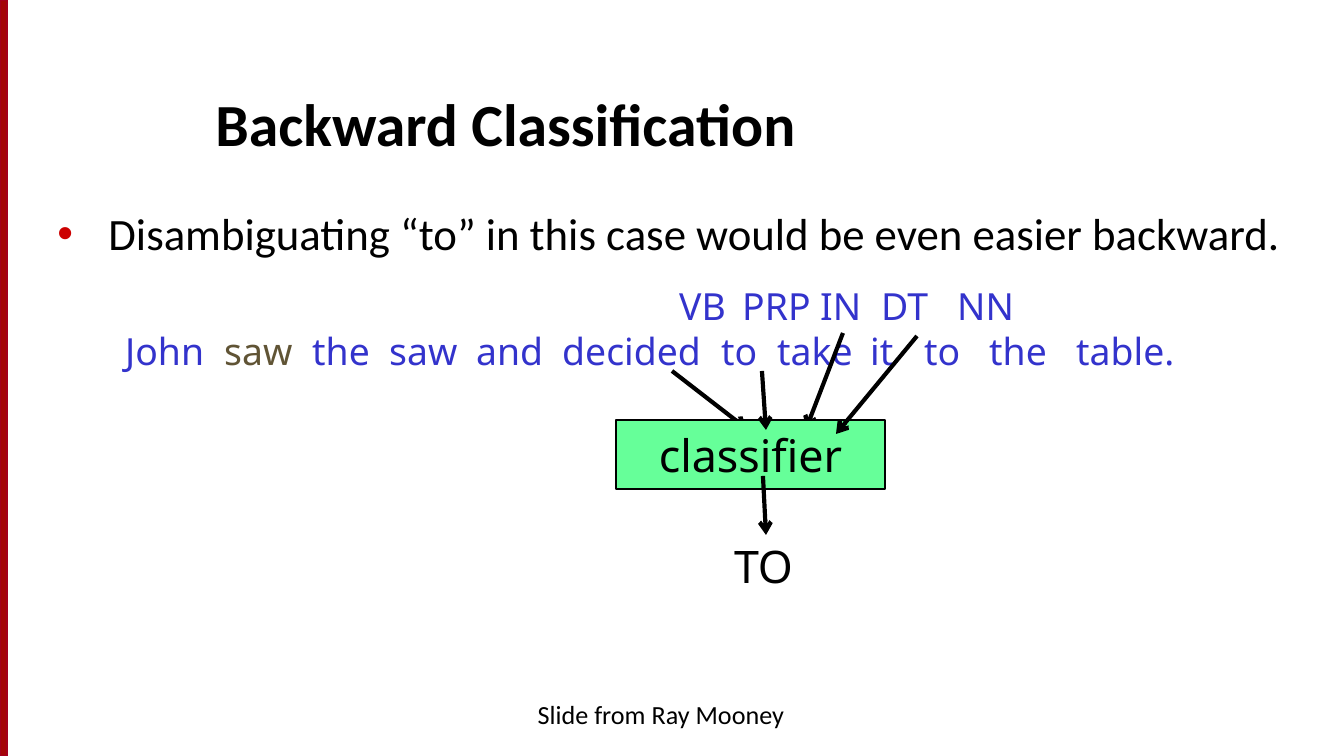
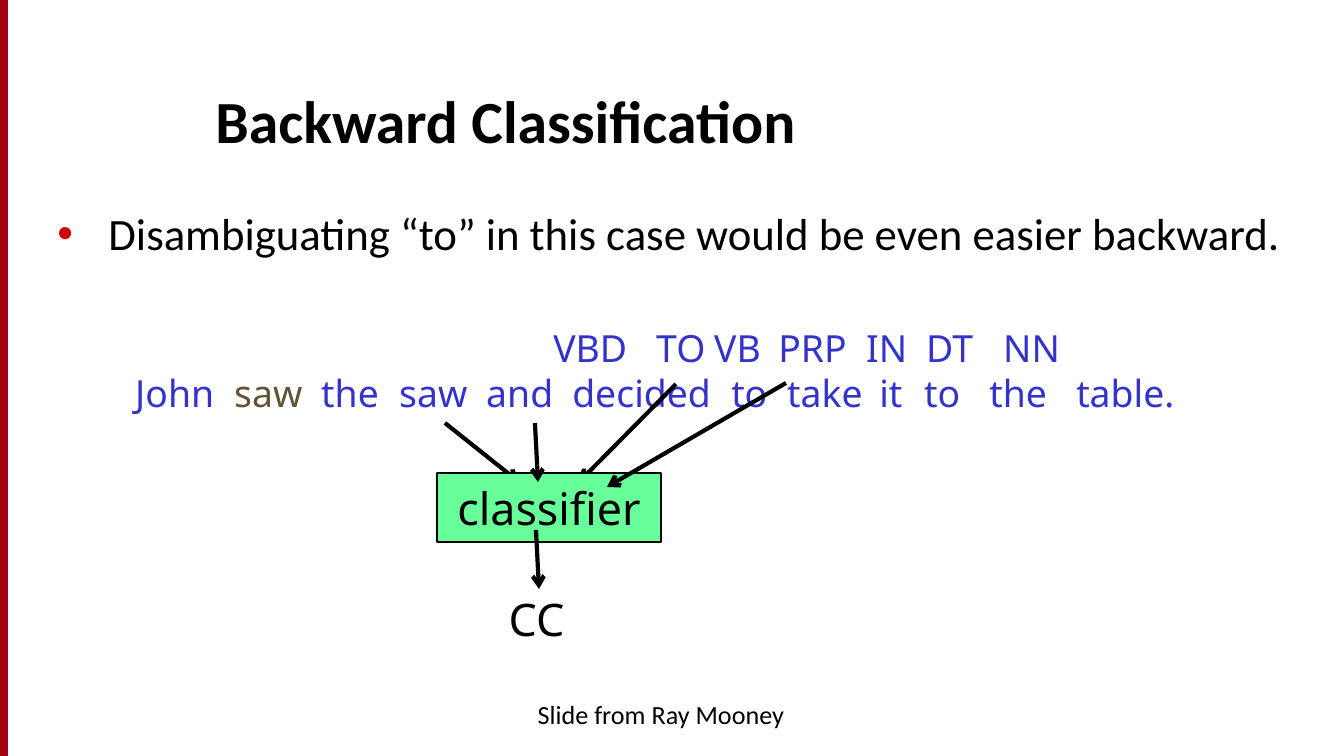
"""Build two slides on backward classification for part-of-speech tagging."""
from lxml import etree
from pptx import Presentation
from pptx import util as u
from pptx.dml.color import RGBColor
from pptx.enum import shapes, text
from pptx.oxml import ns

BLACK = RGBColor(0x00, 0x00, 0x00)
BLUE = RGBColor(0x33, 0x33, 0xCC)
BROWN = RGBColor(0x60, 0x54, 0x35)
GREEN = RGBColor(0x66, 0xFF, 0x99)
BAR_FILL = RGBColor(0xA4, 0x05, 0x08)
BAR_LINE = RGBColor(0xA4, 0x00, 0x1D)
BULLET = RGBColor(0xCC, 0x00, 0x00)
HEAD_FONT, TAG_FONT = "Calibri", "Noto Sans"
LEFT, CENTER = text.PP_ALIGN.LEFT, text.PP_ALIGN.CENTER
TOP, MIDDLE, BOTTOM = (text.MSO_ANCHOR.TOP, text.MSO_ANCHOR.MIDDLE,
                       text.MSO_ANCHOR.BOTTOM)
WIDTH, HEIGHT = 1344, 756
SCALE = 914400 / 134.4
INSET = 13

TITLE = "Backward Classification"
POINT = "Disambiguating “to” in this case would be even easier backward."
CREDIT = "Slide from Ray Mooney"
WORDS = "John saw the saw and decided to take it to the table.".split()
HIGHLIGHT = 1

SLIDES = [
    {
        "title_top": 56,
        "sentence": (112, 277, 1157),
        "tags": [("VB", 679), ("PRP", 742), ("IN", 820), ("DT", 881), ("NN", 957)],
        "word_x": [224, 312, 389, 476, 562, 721, 777, 870, 924, 989, 1076],
        "box": (616, 420, 269, 69),
        "behind": [(672, 371, 747, 429), (843, 333, 806, 429)],
        "front": [(762, 371, 766, 430), (763, 476, 766, 535), (917, 336, 836, 434)],
        "result": ("TO", 712, 532),
    },
    {
        "title_top": 53,
        "sentence": (122, 319, 1145),
        "tags": [("VBD", 553), ("TO", 656), ("VB", 714), ("PRP", 778),
                 ("IN", 866), ("DT", 926), ("NN", 1003)],
        "word_x": [234, 321, 399, 486, 572, 731, 787, 879, 924, 989, 1076],
        "box": (437, 473, 224, 69),
        "behind": [(445, 423, 519, 482), (676, 384, 579, 482)],
        "front": [(535, 423, 538, 482), (536, 530, 539, 589), (786, 383, 607, 487)],
        "result": ("CC", 485, 585),
    },
]


def px(n):
    return u.Emu(round(n * SCALE))


def place(sp, x, y, w, h):
    sp.left, sp.top, sp.width, sp.height = px(x), px(y), px(w), px(h)


def add_child(parent, tag, **attrs):
    return etree.SubElement(parent, ns.qn(tag), attrs)


def write(sp, *paragraphs, font=TAG_FONT, size=24, color=BLACK, bold=False,
          align=LEFT, anchor=TOP):
    """Fill a shape; a paragraph is a string or a list of (text, colour) runs."""
    tf = sp.text_frame
    tf.word_wrap = True
    tf.auto_size = text.MSO_AUTO_SIZE.NONE
    tf.vertical_anchor = anchor
    for i, runs in enumerate(paragraphs):
        p = tf.add_paragraph() if i else tf.paragraphs[0]
        p.alignment = align
        p.space_before = u.Pt(0)
        for content, tint in [(runs, color)] if isinstance(runs, str) else runs:
            r = p.add_run()
            r.text = content
            r.font.name, r.font.size, r.font.bold = font, u.Pt(size), bold
            r.font.color.rgb = tint
    return tf


def add_rect(s, x, y, w, h, fill, line, weight):
    sp = s.shapes.add_shape(shapes.MSO_SHAPE.RECTANGLE, px(x), px(y), px(w), px(h))
    sp.shadow.inherit = False
    sp.fill.solid()
    sp.fill.fore_color.rgb = fill
    sp.line.color.rgb = line
    sp.line.width = u.Pt(weight)
    return sp


def add_textbox(s, x, y, w, h):
    return s.shapes.add_textbox(px(x), px(y), px(w), px(h))


def add_arrows(s, arrows):
    for ends in arrows:
        cx = s.shapes.add_connector(shapes.MSO_CONNECTOR.STRAIGHT, *map(px, ends))
        cx.line.color.rgb = BLACK
        cx.line.width = u.Pt(2.25)
        add_child(cx.line._get_or_add_ln(), "a:tailEnd", type="arrow")
        add_child(cx.element.spPr, "a:effectLst")


def set_bullet(p, indent):
    pPr = p._p.get_or_add_pPr()
    pPr.set("marL", str(px(indent)))
    pPr.set("indent", str(-px(indent)))
    add_child(add_child(pPr, "a:buClr"), "a:srgbClr", val=str(BULLET))
    add_child(pPr, "a:buChar", char="•")


def set_tabs(p, positions):
    tabs = add_child(p._p.get_or_add_pPr(), "a:tabLst")
    for x in positions:
        add_child(tabs, "a:tab", pos=str(px(x)), algn="l")


def add_sentence(s, data):
    x, y, w = data["sentence"]
    tags = "".join("\t" + tag for tag, _ in data["tags"])
    runs = [(("\t" if i else "") + word, BROWN if i == HIGHLIGHT else BLUE)
            for i, word in enumerate(WORDS)]
    tf = write(add_textbox(s, x, y, w, 105), tags, runs, size=20, color=BLUE)
    stops = [[at for _, at in data["tags"]], data["word_x"]]
    for p, positions in zip(tf.paragraphs, stops):
        set_tabs(p, [at - x - INSET for at in positions])


def add_slide(prs, data):
    s = prs.slides.add_slide(prs.slide_layouts[1])
    title, body = s.placeholders
    place(title, 202, data["title_top"], 1098, 109)
    write(title, TITLE, font=HEAD_FONT, size=32, bold=True, anchor=BOTTOM)
    place(body, 44, 199, 1254, 491)
    set_bullet(write(body, POINT, font=HEAD_FONT).paragraphs[0], 51)
    write(add_textbox(s, 448, 692, 426, 51), CREDIT, font=HEAD_FONT, size=14,
          align=CENTER)
    add_sentence(s, data)
    add_arrows(s, data["behind"])
    box = add_rect(s, *data["box"], GREEN, BLACK, 1)
    write(box, "classifier", align=CENTER, anchor=MIDDLE)
    add_arrows(s, data["front"])
    label, x, y = data["result"]
    write(add_textbox(s, x, y, 103, 69), label, align=CENTER)
    return s


def main():
    prs = Presentation()
    prs.slide_width, prs.slide_height = px(WIDTH), px(HEIGHT)
    for data in SLIDES:
        s = add_slide(prs, data)
    bar = add_rect(s, 0, 0, 7, HEIGHT, BAR_FILL, BAR_LINE, 0.75)
    prs.slide_master.shapes.element.insert(2, bar.element)
    prs.save("out.pptx")


if __name__ == "__main__":
    main()
